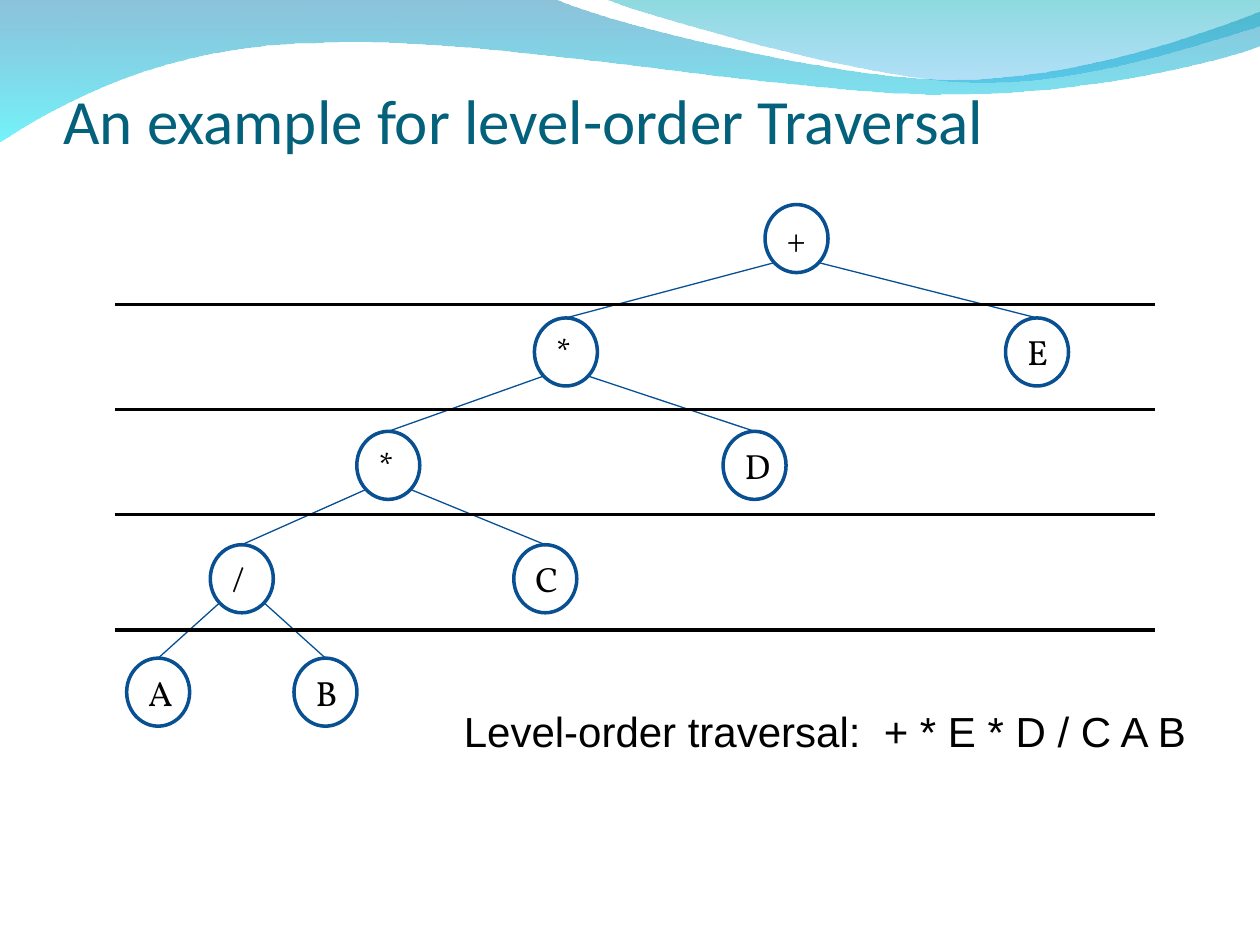
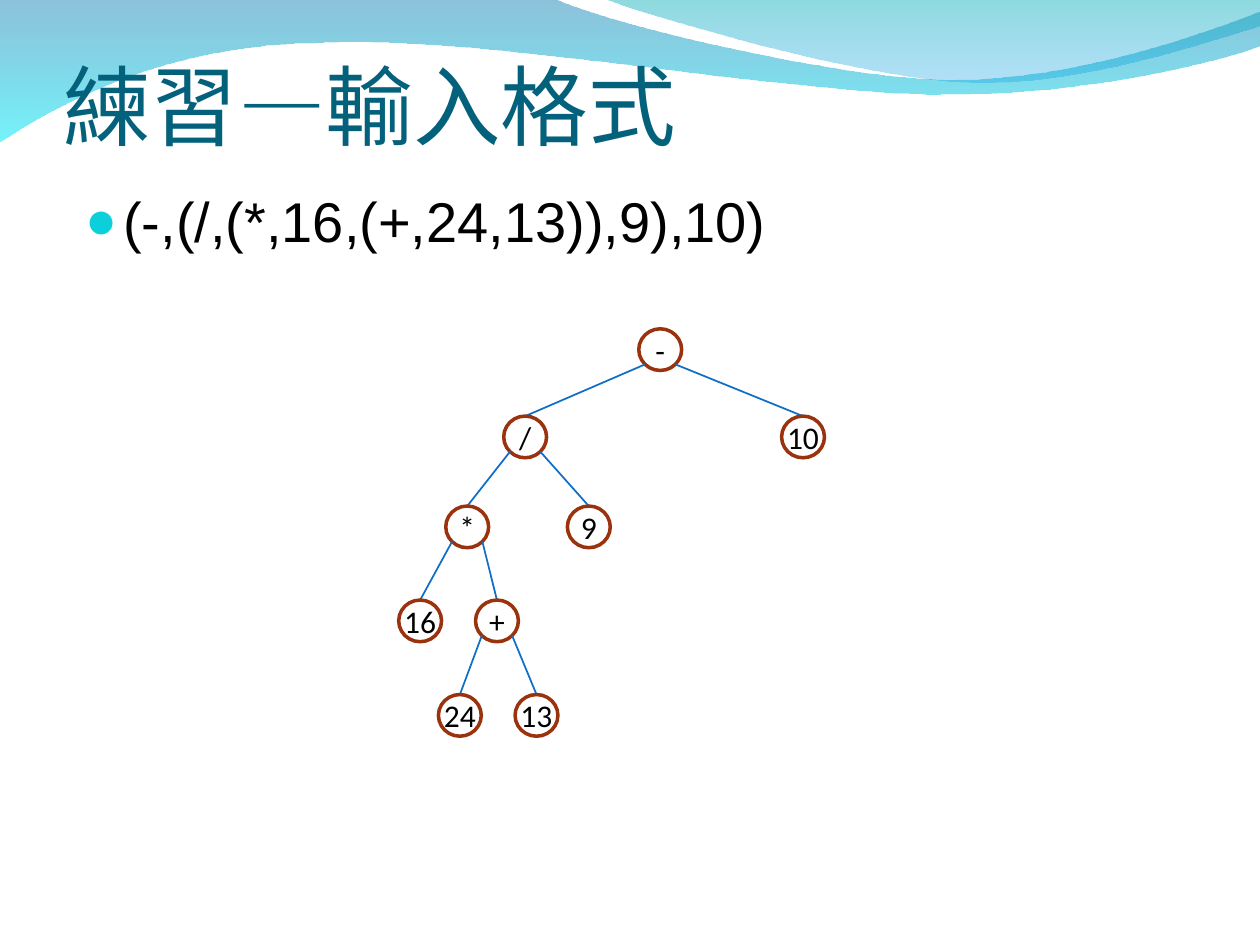
from pptx import Presentation
from pptx.dml.color import RGBColor
from pptx.enum.shapes import MSO_CONNECTOR as Connector, MSO_SHAPE as Shape
from pptx.enum.text import MSO_ANCHOR as Anchor, PP_ALIGN as Align
from pptx.oxml.ns import qn
from pptx.util import Pt
from lxml.etree import SubElement
from dataclasses import dataclass
from math import sqrt

COLORS = {
    "title": "04617B", "text": "000000", "bullet": "0BD0D9",
    "level_node": "085091", "level_edge": "065093",
    "input_node": "9B320E", "input_edge": "0F6FC6",
    "wave_top": "0079AF", "wave_bottom": "00EBF8",
    "crest_top": "00ADB6", "crest_bottom": "009BE5",
}

WAVE = [
    [(0, -0.7)], [(316.8, -0.7)],
    [(342.7, 12.2), (478.1, 45.4), (545.8, 45.4)],
    [(614.2, 45.4), (689.8, 18.7), (720, 6.5)],
    [(720.7, 25.9)],
    [(707.8, 31.7), (626.4, 54.7), (537.1, 54)],
    [(447.8, 54), (275, 20.2), (185, 24.5)],
    [(92.9, 25.2), (33.1, 59.8), (-0.7, 81.4)],
]
CREST = [
    [(344.9, -0.7)],
    [(366.5, 7.9), (491, 44.6), (553.7, 46.8)],
    [(616.3, 49.7), (691.9, 23), (720, 15.1)],
    [(720, 0)],
]

LEVEL_TREE = ("+", 455.2, [
    ("*", 323.4, [
        ("*", 221.9, [
            ("/", 138.2, [("A", 90.4, []), ("B", 186, [])]),
            ("C", 311.6, []),
        ]),
        ("D", 431.2, []),
    ]),
    ("E", 592.6, []),
])
INPUT_TREE = ("-", 377.3, [
    ("/", 300.1, [
        ("*", 267, [
            ("16", 240.1, []),
            ("+", 284, [("24", 262.8, []), ("13", 306.6, [])]),
        ]),
        ("9", 336.5, []),
    ]),
    ("10", 458.9, []),
])


@dataclass
class TreeStyle:
    node_color: str
    edge_color: str
    edge_width: float
    width: float
    height: float
    tops: list
    font: str
    size: int
    align: Align
    wrap: bool


LEVEL_STYLE = TreeStyle("level_node", "level_edge", 0.75, 36, 38.9,
                        [116.9 + 64.8 * level for level in range(5)],
                        "Vollkorn", 20, Align.LEFT, True)
INPUT_STYLE = TreeStyle("input_node", "input_edge", 1, 24.5, 23.8,
                        [187.9, 237.8, 289.2, 342.9, 396.9],
                        "Calibri", 18, Align.CENTER, False)


def rgb(name):
    return RGBColor.from_string(COLORS[name])


def format_text(para, font, size, color="text"):
    for span in para.runs:
        span.font.name = font
        span.font.size = Pt(size)
        span.font.color.rgb = rgb(color)
        SubElement(span.font._element, qn("a:ea")).set("typeface", font)


def bend(shape, segments):
    edges = list(shape._element.iter(qn("a:lnTo")))
    for edge, segment in zip(edges, segments[1:]):
        if len(segment) == 1:
            continue
        curve = edge.makeelement(qn("a:cubicBezTo"))
        for x, y in segment:
            point = SubElement(curve, qn("a:pt"))
            point.set("x", str(Pt(x) - shape.left))
            point.set("y", str(Pt(y) - shape.top))
        edge.getparent().replace(edge, curve)


def add_wave(page, segments, colors, opacities):
    anchors = [tuple(map(Pt, segment[-1])) for segment in segments]
    builder = page.shapes.build_freeform(*anchors[0])
    builder.add_line_segments(anchors[1:], close=True)
    wave = builder.convert_to_shape()
    bend(wave, segments)
    wave.shadow.inherit = False
    wave.line.fill.background()
    wave.fill.gradient()
    wave.fill.gradient_angle = 270
    for stop, color in zip(wave.fill.gradient_stops, colors):
        stop.color.rgb = rgb(color)
    for color, opacity in zip(wave._element.iter(qn("a:srgbClr")), opacities):
        SubElement(color, qn("a:alpha")).set("val", str(opacity * 1000))


def add_text(page, text, left, top, width, height, wrap=True):
    box = page.shapes.add_textbox(Pt(left), Pt(top), Pt(width), Pt(height))
    box.text_frame.text = text
    box.text_frame.word_wrap = wrap
    return box.text_frame


def add_title(page, text, font, size):
    frame = add_text(page, text, 36.2, 0, 648, 90)
    frame.vertical_anchor = Anchor.BOTTOM
    frame.margin_left = frame.margin_right = frame.margin_bottom = 0
    format_text(frame.paragraphs[0], font, size, "title")


def add_page(deck, title, font, size):
    page = deck.slides.add_slide(deck.slide_layouts[6])
    add_wave(page, WAVE, ("wave_top", "wave_bottom"), (45, 55))
    add_wave(page, CREST, ("crest_top", "crest_bottom"), (45, 30))
    add_title(page, title, font, size)
    return page


def add_bullet(page, text):
    para = add_text(page, text, 41.8, 103, 648, 388.8).paragraphs[0]
    properties = para._p.get_or_add_pPr()
    properties.set("marL", str(Pt(21.6)))
    properties.set("indent", str(-Pt(21.6)))
    color = SubElement(properties, qn("a:buClr"))
    SubElement(color, qn("a:srgbClr")).set("val", COLORS["bullet"])
    SubElement(properties, qn("a:buSzPct")).set("val", "95000")
    SubElement(properties, qn("a:buFont")).set("typeface", "Arial")
    SubElement(properties, qn("a:buChar")).set("char", "●")
    format_text(para, "Arial", 32)


def add_line(page, start, end, color, width):
    line = page.shapes.add_connector(Connector.STRAIGHT, *map(Pt, (*start, *end)))
    line.line.color.rgb = rgb(color)
    line.line.width = Pt(width)
    SubElement(line._element.spPr, qn("a:effectLst"))


def add_node(page, label, center, top, style):
    node = page.shapes.add_shape(Shape.OVAL, Pt(center - style.width / 2), Pt(top),
                                 Pt(style.width), Pt(style.height))
    node.shadow.inherit = False
    node.fill.background()
    node.line.color.rgb = rgb(style.node_color)
    node.line.width = Pt(2)
    frame = node.text_frame
    frame.text = label
    frame.word_wrap = style.wrap
    frame.vertical_anchor = Anchor.MIDDLE
    para = frame.paragraphs[0]
    para.alignment = style.align
    format_text(para, style.font, style.size)


def add_tree(page, tree, style, level=0):
    label, center, children = tree
    top = style.tops[level]
    add_node(page, label, center, top, style)
    reach_x = style.width / 2 / sqrt(2)
    edge_y = top + style.height / 2 * (1 + 1 / sqrt(2))
    for child, side in zip(children, (-1, 1)):
        add_line(page, (center + side * reach_x, edge_y), (child[1], style.tops[level + 1]),
                 style.edge_color, style.edge_width)
        add_tree(page, child, style, level + 1)


def add_traversal_page(deck):
    page = add_page(deck, "An example for level-order Traversal", "Calibri", 36)
    add_tree(page, LEVEL_TREE, LEVEL_STYLE)
    caption = add_text(page, "Level-order traversal:  + * E * D / C A B",
                       258, 399.6, 429.8, 36, wrap=False)
    format_text(caption.paragraphs[0], "Arial", 24)
    for y in (174, 234, 294, 360):
        add_line(page, (66, y), (660, y), "text", 2.25)


def add_input_page(deck):
    page = add_page(deck, "練習—輸入格式", "Noto Sans CJK SC", 50)
    add_bullet(page, "(-,(/,(*,16,(+,24,13)),9),10)")
    add_tree(page, INPUT_TREE, INPUT_STYLE)


def main():
    deck = Presentation()
    deck.slide_width, deck.slide_height = Pt(720), Pt(540)
    add_traversal_page(deck)
    add_input_page(deck)
    deck.save("out.pptx")


if __name__ == "__main__":
    main()
